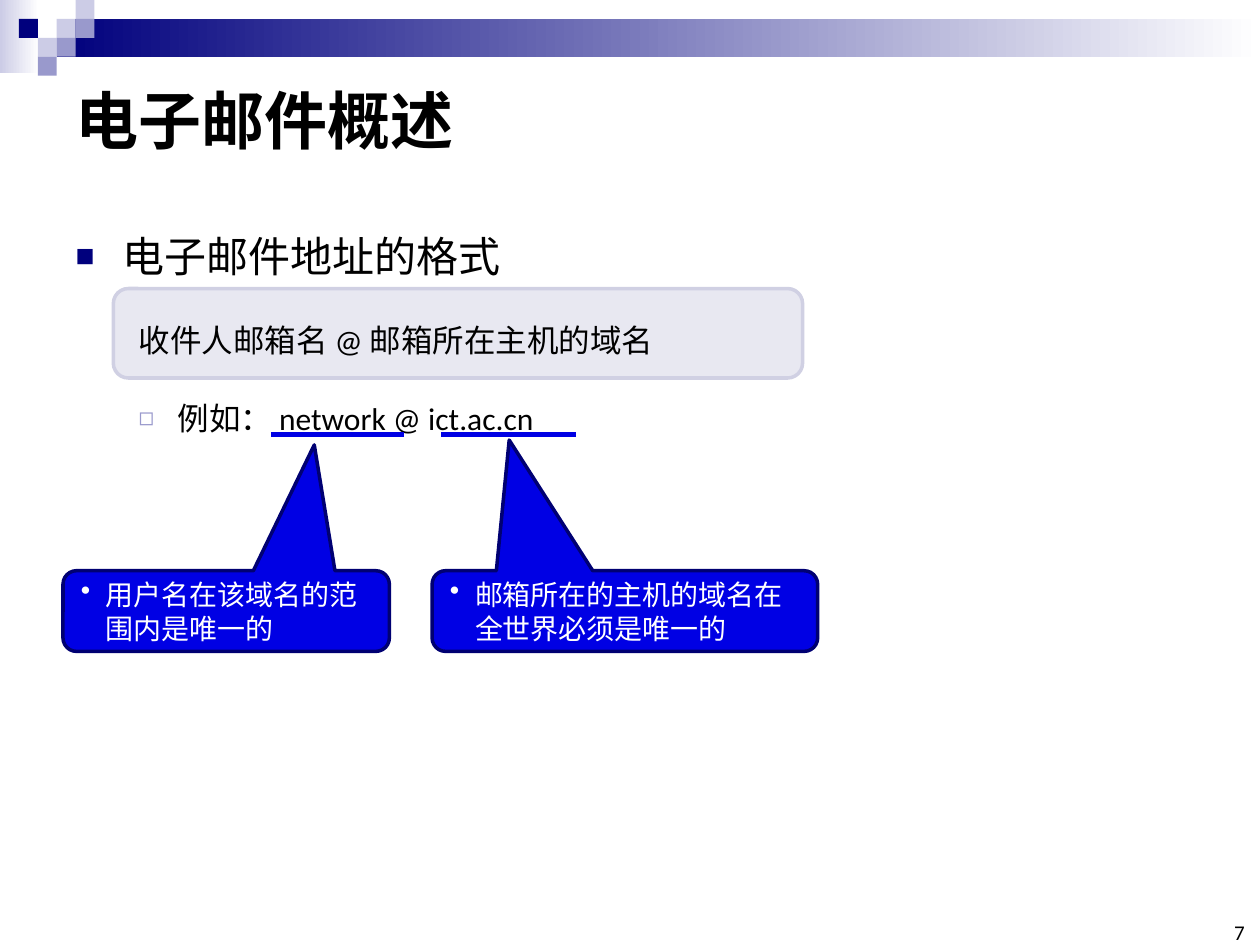
"""Build the slide that explains the format of an e-mail address."""
import lxml.etree
import pptx
import pptx.dml.color
import pptx.enum.shapes
import pptx.enum.text
import pptx.oxml.ns
import pptx.util

Inches = pptx.util.Inches
Pt = pptx.util.Pt
Shapes = pptx.enum.shapes.MSO_SHAPE
Align = pptx.enum.text.PP_ALIGN
Anchor = pptx.enum.text.MSO_ANCHOR
qn = pptx.oxml.ns.qn

NAVY, PALE, LILAC, BLUE = "00007D", "CCCCE6", "9999CC", "0000E4"
BLACK, WHITE = "000000", "FFFFFF"


def color(value):
    return pptx.dml.color.RGBColor.from_string(value)


def apply(target, values):
    for name, value in values.items():
        setattr(target, name, value)


class SlideBuilder:
    def __init__(self, slide, font):
        self.slide = slide
        self.font = font

    def place(self, shape, box):
        names = ("left", "top", "width", "height")
        apply(shape, dict(zip(names, map(Inches, box))))

    def frame(self, shape, margins, anchor):
        names = ("margin_left", "margin_top", "margin_right", "margin_bottom")
        values = dict(zip(names, map(Inches, margins)))
        values.update(word_wrap=True, vertical_anchor=anchor,
                      auto_size=pptx.enum.text.MSO_AUTO_SIZE.NONE)
        apply(shape.text_frame, values)

    def bullet(self, paragraph, indent, char=None, tint=None, percent=100):
        properties = paragraph._p.get_or_add_pPr()
        for name, value in zip(("marL", "indent"), indent):
            properties.set(name, str(Inches(value)))

        def add(parent, tag, **attributes):
            return lxml.etree.SubElement(parent, qn(tag), attributes)

        if char is None:
            add(properties, "a:buNone")
            return
        add(add(properties, "a:buClr"), "a:srgbClr", val=tint)
        add(properties, "a:buSzPct", val=str(percent * 1000))
        add(properties, "a:buChar", char=char)

    def fill_paragraph(self, paragraph, text, size, tint=BLACK, bold=False, **layout):
        paragraph.text = text
        apply(paragraph, layout)
        apply(paragraph.runs[0].font, {"name": self.font, "size": Pt(size), "bold": bold})
        paragraph.runs[0].font.color.rgb = color(tint)

    def shape(self, kind, box, fill, line=None):
        shape = self.slide.shapes.add_shape(kind, *map(Inches, box))
        shape.shadow.inherit = False
        if isinstance(fill, tuple):
            shape.fill.gradient()
            shape.fill.gradient_angle = 0
            for stop, value in zip(shape.fill.gradient_stops, fill):
                stop.color.rgb = color(value)
        else:
            shape.fill.solid()
            shape.fill.fore_color.rgb = color(fill)
        if line:
            shape.line.color.rgb = color(line)
            shape.line.width = Pt(2)
        else:
            shape.line.fill.background()
        return shape

    def title(self, text, box):
        title = self.slide.shapes.title
        self.place(title, box)
        self.frame(title, (0.1, 0.05, 0.1, 0.05), Anchor.MIDDLE)
        self.fill_paragraph(title.text_frame.paragraphs[0], text, 36, bold=True,
                            alignment=Align.LEFT)

    def body(self, items, box):
        body = self.slide.placeholders[1]
        self.place(body, box)
        self.frame(body, (0.1, 0.05, 0.1, 0.05), Anchor.TOP)
        text_frame = body.text_frame
        for index, (text, size, level, *marker) in enumerate(items):
            paragraph = text_frame.add_paragraph() if index else text_frame.paragraphs[0]
            self.bullet(paragraph, *marker)
            self.fill_paragraph(paragraph, text, size, level=level, line_spacing=1.5,
                                space_before=Pt(12 if index else 0))
        return body

    def callout(self, text, box, tip):
        shape = self.shape(Shapes.ROUNDED_RECTANGULAR_CALLOUT, box, BLUE, "000072")
        for index, value in enumerate((*tip, 0.167)):
            shape.adjustments[index] = value
        self.frame(shape, (0, 0.05, 0.08, 0.05), Anchor.MIDDLE)
        paragraph = shape.text_frame.paragraphs[0]
        self.bullet(paragraph, (0.31, -0.2), "•", WHITE)
        self.fill_paragraph(paragraph, text, 16, WHITE, alignment=Align.LEFT)

    def underline(self, left, right, top):
        straight = pptx.enum.shapes.MSO_CONNECTOR.STRAIGHT
        line = self.slide.shapes.add_connector(straight, *map(Inches, (left, top, right, top)))
        line.line.color.rgb = color(BLUE)
        line.line.width = Pt(3)
        lxml.etree.SubElement(line._element.spPr, qn("a:effectLst"))

    def page_number(self, text, box):
        number = self.slide.shapes.add_textbox(*map(Inches, box))
        self.frame(number, (0, 0, 0, 0), Anchor.BOTTOM)
        self.fill_paragraph(number.text_frame.paragraphs[0], text, 12, alignment=Align.RIGHT)


def main():
    presentation = pptx.Presentation()
    apply(presentation, {"slide_width": Inches(10), "slide_height": Inches(7.5)})
    slide = presentation.slides.add_slide(presentation.slide_layouts[1])
    builder = SlideBuilder(slide, "Calibri")

    builder.title("电子邮件概述", (0.5, 0.5, 9, 0.89))
    body = builder.body([
        ("电子邮件地址的格式", 24, 0, (0.37, -0.37), "■", NAVY, 75),
        ("收件人邮箱名 @ 邮箱所在主机的域名", 18, 1, (0.5, 0)),
        ("例如： network @ ict.ac.cn", 18, 1, (0.81, -0.31), "◻", LILAC, 80),
    ], (0.5, 1.58, 9.15, 5.75))

    builder.shape(Shapes.RECTANGLE, (0, 0, 0.31, 0.58), (PALE, WHITE))
    builder.shape(Shapes.RECTANGLE, (0.45, 0.15, 9.55, 0.3), (NAVY, WHITE))
    side = 0.15
    for column, row, fill in ((3, 1, PALE), (4, 0, PALE), (4, 1, LILAC), (2, 2, PALE),
                              (1, 1, NAVY), (3, 2, LILAC), (2, 3, LILAC)):
        builder.shape(Shapes.RECTANGLE, (column * side, row * side, side, side), fill)

    panel = builder.shape(Shapes.ROUNDED_RECTANGLE, (0.9, 2.29, 5.47, 0.71), "E8E8F1", "D0D0E3")
    body._element.addprevious(panel._element)

    for left, right in ((2.15, 3.21), (3.5, 4.57)):
        builder.underline(left, right, 3.45)
    builder.callout("用户名在该域名的范围内是唯一的", (0.5, 4.53, 2.59, 0.64), (0.27, -2.06))
    builder.callout("邮箱所在的主机的域名在全世界必须是唯一的", (3.43, 4.53, 3.06, 0.64), (-0.3, -2.12))
    builder.page_number("7", (9.5, 7.33, 0.38, 0.17))
    presentation.save("out.pptx")


if __name__ == "__main__":
    main()
